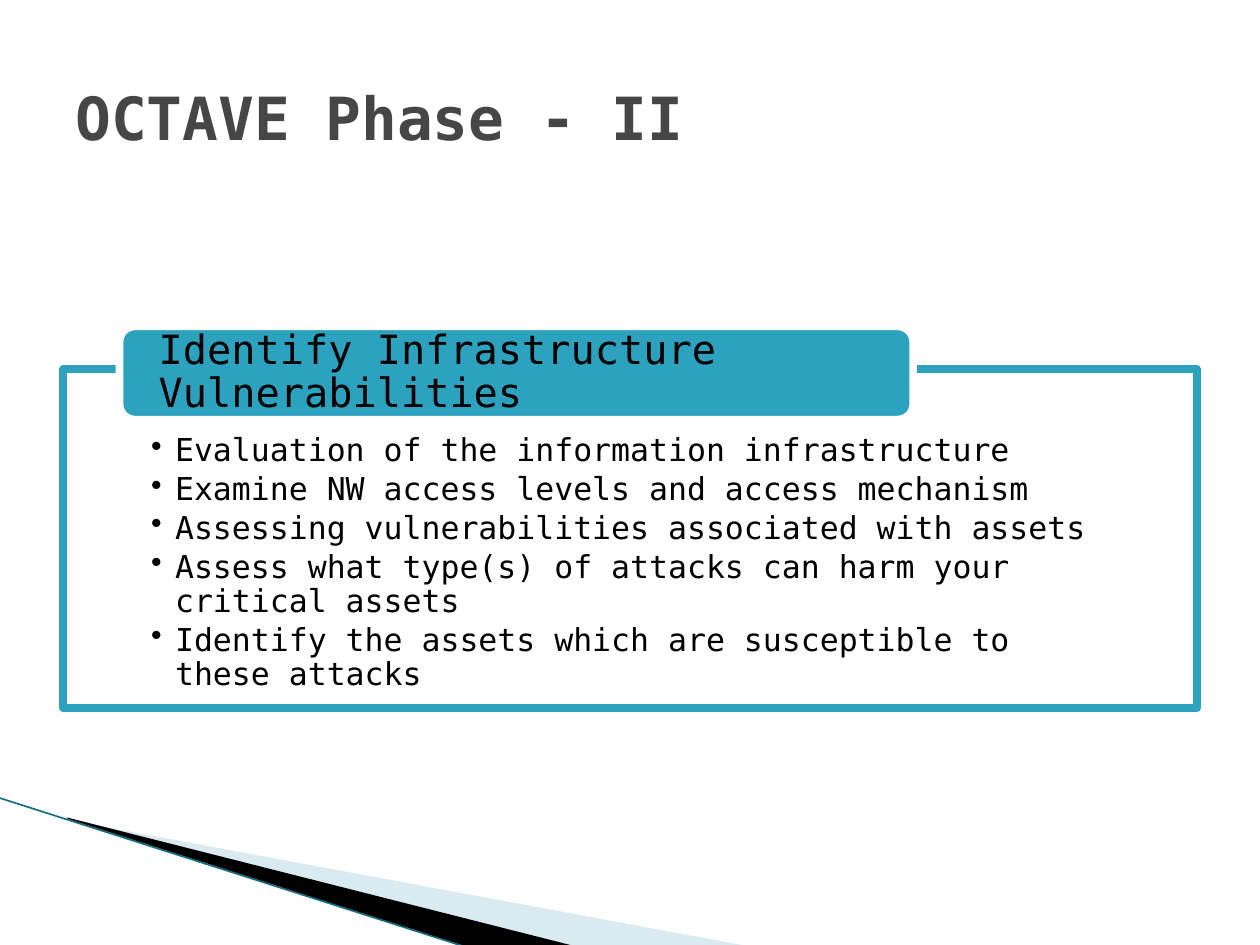
from dataclasses import dataclass

from lxml.etree import SubElement
from pptx import Presentation
from pptx.dml.color import RGBColor
from pptx.enum.shapes import MSO_CONNECTOR as Connector, MSO_SHAPE as Shape
from pptx.enum.text import MSO_ANCHOR as Anchor, PP_ALIGN as Align
from pptx.oxml.ns import qn
from pptx.util import Cm, Pt


@dataclass(frozen=True)
class Theme:
    font: str = "DejaVu Sans Mono"
    teal: RGBColor = RGBColor(0x2D, 0xA2, 0xBF)
    dark_teal: RGBColor = RGBColor(0x16, 0x6C, 0x80)
    pale_blue: RGBColor = RGBColor(0xA0, 0xCB, 0xDC)
    black: RGBColor = RGBColor(0, 0, 0)
    white: RGBColor = RGBColor(0xFF, 0xFF, 0xFF)
    grey: RGBColor = RGBColor(0x46, 0x46, 0x46)
    title_size: Pt = Pt(34)
    heading_size: Pt = Pt(23)
    body_size: Pt = Pt(18)
    border: Pt = Pt(4.33)


theme = Theme()


def set_text(paragraph, text, size, color, bold=False):
    paragraph.text = text
    paragraph.alignment = Align.LEFT
    font = paragraph.font
    font.name, font.size, font.bold = theme.font, size, bold
    font.color.rgb = color


def set_opacity(shape, percent):
    color = shape.fill._xPr.find(qn("a:solidFill"))[0]
    SubElement(color, qn("a:alpha")).set("val", str(percent * 1000))


prs = Presentation()
prs.slide_width, prs.slide_height = Cm(25.4), Cm(19.05)
slide = prs.slides.add_slide(prs.slide_layouts[6])
shapes = slide.shapes

# Corner wedges, points in centimetres
wedges = [
    (theme.pale_blue, 40, [(1.4, 16.54), (15.11, 19.08), (11.58, 19.08), (1.4, 16.51)]),
    (theme.black, 100, [(1.35, 16.48), (11.61, 19.08), (9.45, 19.1), (1.37, 16.51)]),
]
for color, opacity, points in wedges:
    start, *rest = [(Cm(x), Cm(y)) for x, y in points]
    outline = shapes.build_freeform(*start)
    outline.add_line_segments(rest)
    wedge = outline.convert_to_shape()
    wedge.shadow.inherit = False
    wedge.fill.solid()
    wedge.fill.fore_color.rgb = color
    set_opacity(wedge, opacity)
    wedge.line.fill.background()

# Thin line along the wedges
edge = shapes.add_connector(Connector.STRAIGHT, Cm(-0.03), Cm(16.08), Cm(9.42), Cm(19.1))
edge.line.color.rgb = theme.dark_teal
edge.line.width = Pt(0.95)
SubElement(edge._element.spPr, qn("a:effectLst"))

# Framed list and its heading
frame = shapes.add_shape(Shape.RECTANGLE, Cm(1.27), Cm(7.44), Cm(22.86), Cm(6.83))
heading = shapes.add_shape(Shape.ROUNDED_RECTANGLE, Cm(2.41), Cm(6.58), Cm(16), Cm(1.88))
for panel, fill, border in [(frame, theme.white, theme.teal), (heading, theme.teal, theme.white)]:
    panel.shadow.inherit = False
    panel.fill.solid()
    panel.fill.fore_color.rgb = fill
    panel.line.color.rgb = border
    panel.line.width = theme.border
set_opacity(frame, 90)

steps = frame.text_frame
steps.word_wrap = True
steps.vertical_anchor = Anchor.TOP
steps.margin_left = steps.margin_right = Cm(1.78)
steps.margin_top, steps.margin_bottom = Cm(1.32), Cm(0.36)
step_texts = [
    "Evaluation of the information infrastructure",
    "Examine NW access levels and access mechanism",
    "Assessing vulnerabilities associated with assets",
    "Assess what type(s) of attacks can harm your critical assets",
    "Identify the assets which are susceptible to these attacks",
]
for i, text in enumerate(step_texts):
    step = steps.add_paragraph() if i else steps.paragraphs[0]
    step.line_spacing = 0.9
    step.space_after = Pt(2.8)
    properties = step._p.get_or_add_pPr()
    properties.set("marL", str(Cm(0.48)))
    properties.set("indent", str(Cm(-0.48)))
    SubElement(properties, qn("a:buChar")).set("char", "•")
    set_text(step, text, theme.body_size, theme.black)

label = heading.text_frame
label.word_wrap = True
label.vertical_anchor = Anchor.MIDDLE
label.margin_left = label.margin_right = Cm(0.7)
label.margin_top = label.margin_bottom = 0
label.paragraphs[0].line_spacing = 0.9
set_text(label.paragraphs[0], "Identify Infrastructure Vulnerabilities",
         theme.heading_size, theme.black)

# Title
title = shapes.add_textbox(Cm(1.27), Cm(0.76), Cm(22.86), Cm(3.18)).text_frame
title.word_wrap = True
title.vertical_anchor = Anchor.MIDDLE
set_text(title.paragraphs[0], "OCTAVE Phase - II", theme.title_size, theme.grey, bold=True)

prs.save("out.pptx")
